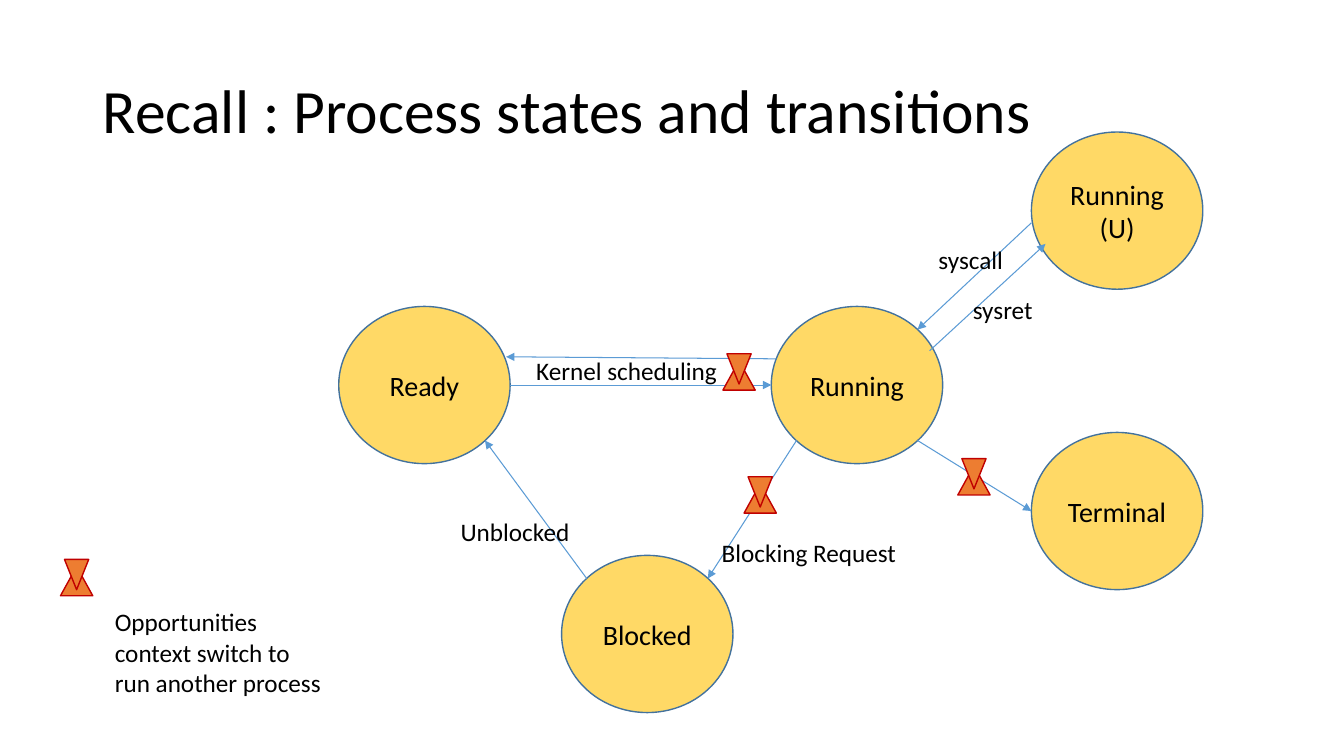
import pptx
import pptx.util
import pptx.dml.color
import pptx.enum.shapes
import pptx.enum.text
import pptx.oxml.ns
from lxml import etree

RGBColor = pptx.dml.color.RGBColor
SHAPE = pptx.enum.shapes.MSO_SHAPE
ALIGN = pptx.enum.text.PP_ALIGN
MIDDLE = pptx.enum.text.MSO_ANCHOR.MIDDLE

BLACK = RGBColor(0x00, 0x00, 0x00)
YELLOW = RGBColor(0xFF, 0xD9, 0x66)
DARK_BLUE = RGBColor(0x43, 0x72, 0x9D)
BLUE = RGBColor(0x5B, 0x9B, 0xD5)
ORANGE = RGBColor(0xED, 0x7D, 0x31)
RED = RGBColor(0xC0, 0x00, 0x00)

FONT = "Calibri"
EMU_PER_PX = 9144  # 100 px to the inch
STATE_WIDTH, STATE_HEIGHT = 170, 156

# State positions, relative to the diagram
STATES = {
    "Running": (429, 173),
    "Blocked": (221, 420),
    "Ready": (0, 173),
    "Terminal": (687, 298),
    "Running (U)": (687, 0),
}

# Points on a state's edge, relative to its centre
LEFT, RIGHT = (-85, 0), (85, 0)
TOP_LEFT, TOP_RIGHT = (-60, -55), (60, -55)
BOTTOM_LEFT, BOTTOM_RIGHT = (-60, 55), (60, 55)

TRANSITIONS = [
    ("Running", BOTTOM_LEFT, "Blocked", TOP_RIGHT),
    ("Blocked", TOP_LEFT, "Ready", BOTTOM_RIGHT),
    ("Ready", RIGHT, "Running", LEFT),
    ("Running", (-80, -26), "Ready", (81, -28)),
    ("Running", BOTTOM_RIGHT, "Terminal", LEFT),
    ("Running (U)", (-85, 12), "Running", TOP_RIGHT),
    ("Running", (72, -34), "Running (U)", (-71, 33)),
]

# Text, left, top, width, height, alignment
LABELS = [
    ("Blocking Request", 370, 397, 235, 40, ALIGN.LEFT),
    ("Unblocked", 111, 376, 150, 40, ALIGN.LEFT),
    ("Kernel scheduling", 186, 217, 210, 70, ALIGN.LEFT),
    ("syscall", 585, 106, 103, 40, ALIGN.LEFT),
    ("sysret", 611, 156, 95, 40, ALIGN.CENTER),
]

SWITCH_POINTS = [(381, 220), (402, 342), (614, 324)]


def px(*lengths):
    return [pptx.util.Emu(length * EMU_PER_PX) for length in lengths]


def format_text(text_frame, size, alignment):
    text_frame.word_wrap = True
    for paragraph in text_frame.paragraphs:
        paragraph.alignment = alignment
        for run in paragraph.runs:
            run.font.size = pptx.util.Pt(size)
            run.font.name = FONT
            run.font.color.rgb = BLACK


def add_filled_shape(slide, kind, box, fill, line):
    shape = slide.shapes.add_shape(kind, *px(*box))
    shape.shadow.inherit = False
    shape.fill.solid()
    shape.fill.fore_color.rgb = fill
    shape.line.color.rgb = line
    shape.line.width = pptx.util.Pt(1)
    return shape


def add_state(slide, name, left, top):
    box = (left, top, STATE_WIDTH, STATE_HEIGHT)
    state = add_filled_shape(slide, SHAPE.OVAL, box, YELLOW, DARK_BLUE)
    state.text_frame.text = name
    state.text_frame.vertical_anchor = MIDDLE
    format_text(state.text_frame, 20, ALIGN.CENTER)


def add_arrow(slide, start, end):
    arrow = slide.shapes.add_connector(
        pptx.enum.shapes.MSO_CONNECTOR.STRAIGHT, *px(*start, *end))
    arrow.line.color.rgb = BLUE
    arrow.line.width = pptx.util.Pt(0.75)
    qn = pptx.oxml.ns.qn
    line = arrow.line._get_or_add_ln()
    etree.SubElement(line, qn("a:tailEnd"), type="triangle")
    etree.SubElement(arrow._element.spPr, qn("a:effectLst"))


def add_label(slide, text, left, top, width, height, alignment):
    label = slide.shapes.add_textbox(*px(left, top, width, height))
    label.text_frame.text = text
    format_text(label.text_frame, 18, alignment)


def add_hourglass(slide, left, top):
    triangle = SHAPE.ISOSCELES_TRIANGLE
    add_filled_shape(slide, triangle, (left, top + 7, 32, 29), ORANGE, RED)
    upper = add_filled_shape(slide, triangle, (left + 4, top, 24, 30), ORANGE, RED)
    upper.rotation = 180


def add_title(slide, left, top, width, height):
    title = slide.shapes.title
    title.left, title.top, title.width, title.height = px(left, top, width, height)
    title.text_frame.text = "Recall : Process states and transitions"
    title.text_frame.vertical_anchor = MIDDLE
    title.text_frame.paragraphs[0].line_spacing = 0.9
    format_text(title.text_frame, 44, ALIGN.LEFT)


def add_state_diagram(slide, left, top):
    def edge_point(name, offset):
        x, y = STATES[name]
        return (left + x + STATE_WIDTH // 2 + offset[0],
                top + y + STATE_HEIGHT // 2 + offset[1])

    for name, (x, y) in STATES.items():
        add_state(slide, name, left + x, top + y)
    for source, source_offset, target, target_offset in TRANSITIONS:
        add_arrow(slide, edge_point(source, source_offset),
                  edge_point(target, target_offset))
    for text, x, y, width, height, alignment in LABELS:
        add_label(slide, text, left + x, top + y, width, height, alignment)
    for x, y in SWITCH_POINTS:
        add_hourglass(slide, left + x, top + y)


def add_legend(slide, left, top):
    add_hourglass(slide, left, top)
    add_label(slide, "Opportunities\ncontext switch to\vrun another process",
              left + 44, top + 42, 271, 100, ALIGN.LEFT)


def main():
    presentation = pptx.Presentation()
    presentation.slide_width, presentation.slide_height = px(1333, 750)
    slide = presentation.slides.add_slide(presentation.slide_layouts[5])
    add_title(slide, 92, 40, 1150, 145)
    add_state_diagram(slide, 336, 131)
    add_legend(slide, 60, 555)
    presentation.save("out.pptx")


if __name__ == "__main__":
    main()
